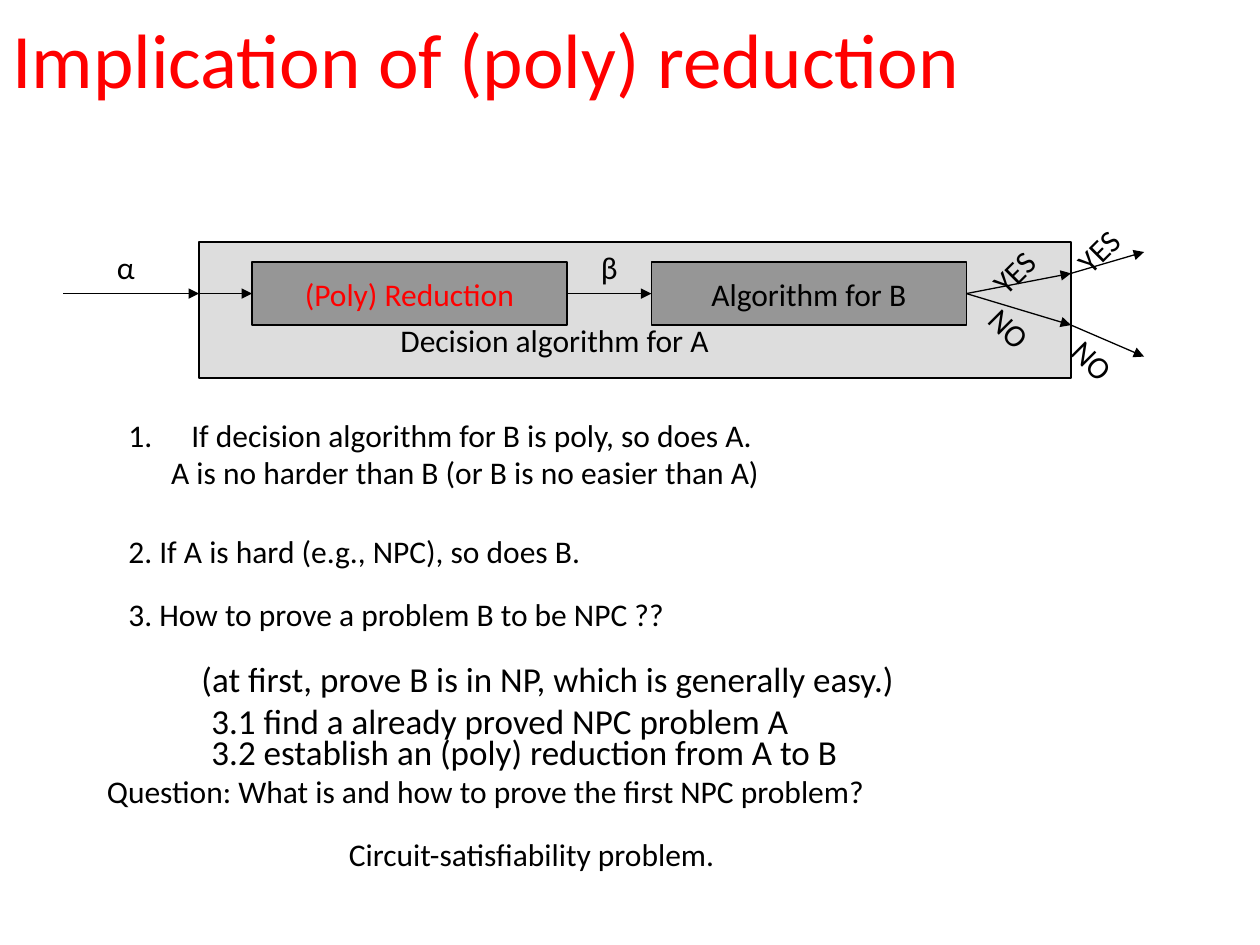
from dataclasses import dataclass

from lxml import etree
from pptx import Presentation
from pptx.dml.color import RGBColor
from pptx.enum import shapes, text
from pptx.oxml import ns
from pptx.util import Inches, Pt

BLACK = RGBColor(0, 0, 0)
RED = RGBColor(0xFF, 0, 0)
LIGHT_GRAY = RGBColor(0xDD, 0xDD, 0xDD)
MID_GRAY = RGBColor(0x96, 0x96, 0x96)
FONT = "Calibri"


@dataclass
class Block:
    left: float
    top: float
    width: float
    height: float
    fill: RGBColor
    label: str = ""
    color: RGBColor = BLACK


@dataclass
class Label:
    left: float
    top: float
    width: float
    height: float
    words: str
    size: int = 18
    rotation: int = 0
    color: RGBColor = BLACK


BLOCKS = [
    Block(1.58, 1.92, 6.92, 1.08, LIGHT_GRAY),
    Block(2, 2.08, 2.5, 0.5, MID_GRAY, "(Poly) Reduction", RED),
    Block(5.17, 2.08, 2.5, 0.5, MID_GRAY, "Algorithm for B"),
]

PATHS = [
    [(0.5, 2.33), (1.58, 2.33), (2, 2.33)],
    [(4.5, 2.33), (5.17, 2.33)],
    [(7.67, 2.33), (8.5, 2.17), (9.08, 2)],
    [(7.67, 2.33), (8.5, 2.58), (9.08, 2.83)],
]

LABELS = [
    Label(0.83, 1.92, 0.41, 0.5, "α"),
    Label(4.67, 1.92, 0.38, 0.5, "β"),
    Label(3.08, 2.5, 3.56, 0.5, "Decision algorithm for A"),
    Label(7.75, 1.92, 0.67, 0.4, "YES", rotation=315),
    Label(8.42, 1.75, 0.67, 0.4, "YES", rotation=315),
    Label(7.74, 2.43, 0.59, 0.4, "NO", rotation=45),
    Label(8.4, 2.68, 0.59, 0.4, "NO", rotation=45),
    Label(0.92, 4.17, 5.21, 0.5, "2. If A is hard (e.g., NPC), so does B."),
    Label(0.92, 4.67, 5.95, 0.5, "3. How to prove a problem B to be NPC ??"),
    Label(1.5, 5.17, 5.89, 0.43,
          "(at first, prove B is in NP, which is generally easy.)", 20),
    Label(1.58, 5.5, 4.86, 0.43, "3.1 find a already proved NPC problem A", 20),
    Label(1.58, 5.75, 5.22, 0.44,
          "3.2 establish an (poly) reduction from A to B", 20),
    Label(0.75, 6.08, 8.19, 0.5,
          "Question: What is and how to prove the first NPC problem?"),
    Label(2.67, 6.58, 4.16, 0.5, "Circuit-satisfiability problem."),
]

TITLE = Label(0, -0.17, 8.5, 1.25, "Implication of (poly) reduction", 44, color=RED)
FIRST_POINT = Label(
    0.92, 3.25, 7.01, 0.9,
    "If decision algorithm for B is poly, so does A.\n"
    "A is no harder than B (or B is no easier than A)")


def format_text(frame, size: int, color: RGBColor) -> None:
    for para in frame.paragraphs:
        for span in para.runs:
            span.font.name = FONT
            span.font.size = Pt(size)
            span.font.color.rgb = color


def add_block(page, block: Block) -> None:
    shape = page.shapes.add_shape(
        shapes.MSO_SHAPE.RECTANGLE, Inches(block.left), Inches(block.top),
        Inches(block.width), Inches(block.height))
    shape.shadow.inherit = False
    shape.fill.solid()
    shape.fill.fore_color.rgb = block.fill
    shape.line.color.rgb = BLACK
    shape.line.width = Pt(0.75)
    if block.label:
        frame = shape.text_frame
        frame.text = block.label
        frame.vertical_anchor = text.MSO_ANCHOR.MIDDLE
        frame.paragraphs[0].alignment = text.PP_ALIGN.CENTER
        format_text(frame, 18, block.color)


def add_arrow(page, start: tuple[float, float], end: tuple[float, float]) -> None:
    arrow = page.shapes.add_connector(
        shapes.MSO_CONNECTOR.STRAIGHT, *map(Inches, start + end))
    arrow.line.color.rgb = BLACK
    arrow.line.width = Pt(0.75)
    line = arrow.line._get_or_add_ln()
    etree.SubElement(line, ns.qn("a:tailEnd"), type="triangle")
    etree.SubElement(arrow._element.spPr, ns.qn("a:effectLst"))


def add_label(page, label: Label):
    box = page.shapes.add_textbox(
        Inches(label.left), Inches(label.top),
        Inches(label.width), Inches(label.height))
    box.rotation = label.rotation
    frame = box.text_frame
    frame.word_wrap = not label.rotation
    frame.text = label.words
    format_text(frame, label.size, label.color)
    return frame


def set_indent(para, margin: float, first_line: float):
    properties = para._p.get_or_add_pPr()
    properties.set("marL", str(Inches(margin)))
    properties.set("indent", str(Inches(first_line)))
    return properties


deck = Presentation()
deck.slide_width, deck.slide_height = Inches(10), Inches(7.5)
page = deck.slides.add_slide(deck.slide_layouts[6])

title = add_label(page, TITLE)
title.vertical_anchor = text.MSO_ANCHOR.MIDDLE

for block in BLOCKS:
    add_block(page, block)
for points in PATHS:
    for start, end in zip(points, points[1:]):
        add_arrow(page, start, end)
for label in LABELS:
    add_label(page, label)

numbered, consequence = add_label(page, FIRST_POINT).paragraphs
numbering = set_indent(numbered, 0.5, -0.5)
etree.SubElement(numbering, ns.qn("a:buFont"), typeface=FONT)
etree.SubElement(numbering, ns.qn("a:buAutoNum"), type="arabicPeriod")
set_indent(consequence, 0.34, 0)

deck.save("out.pptx")
